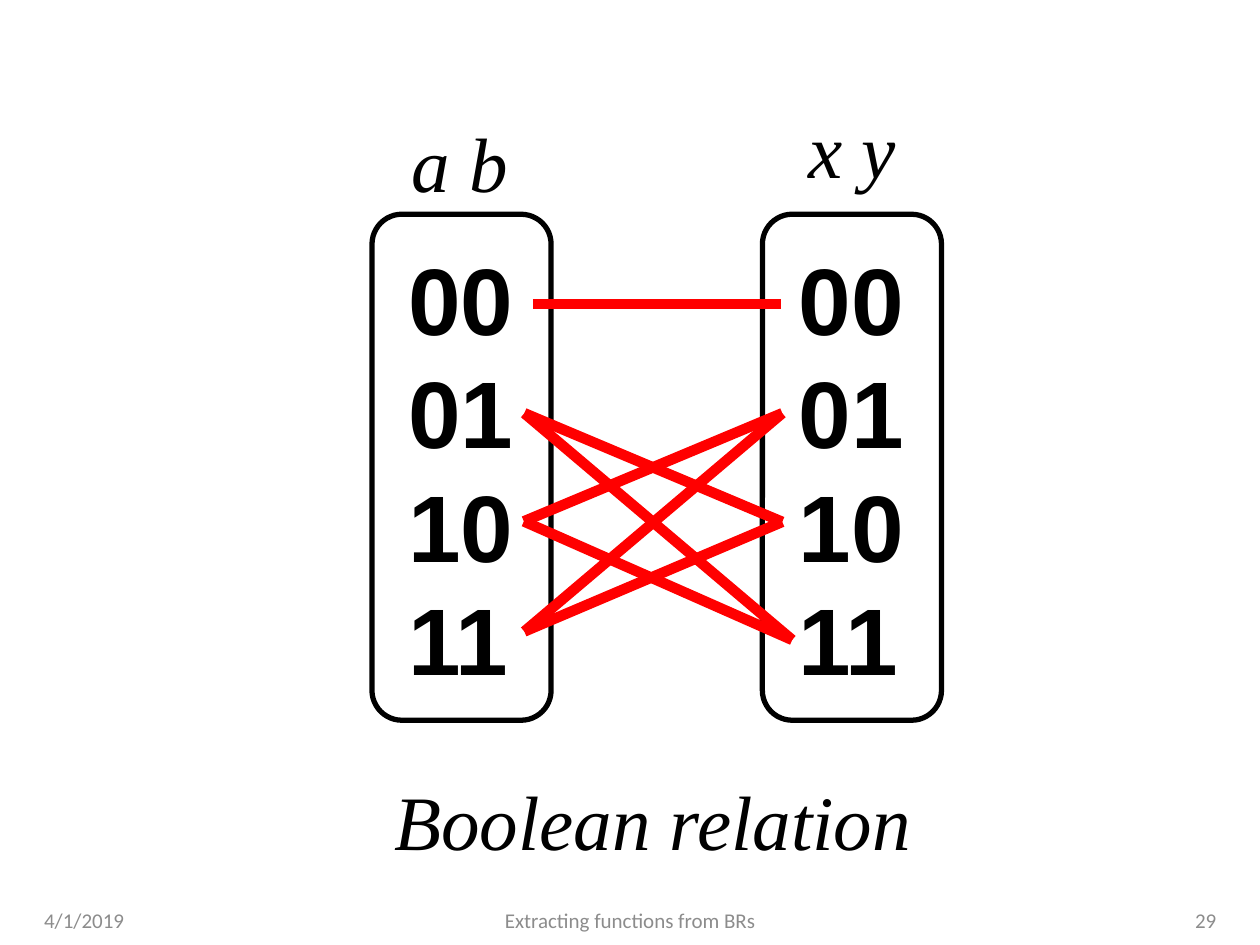
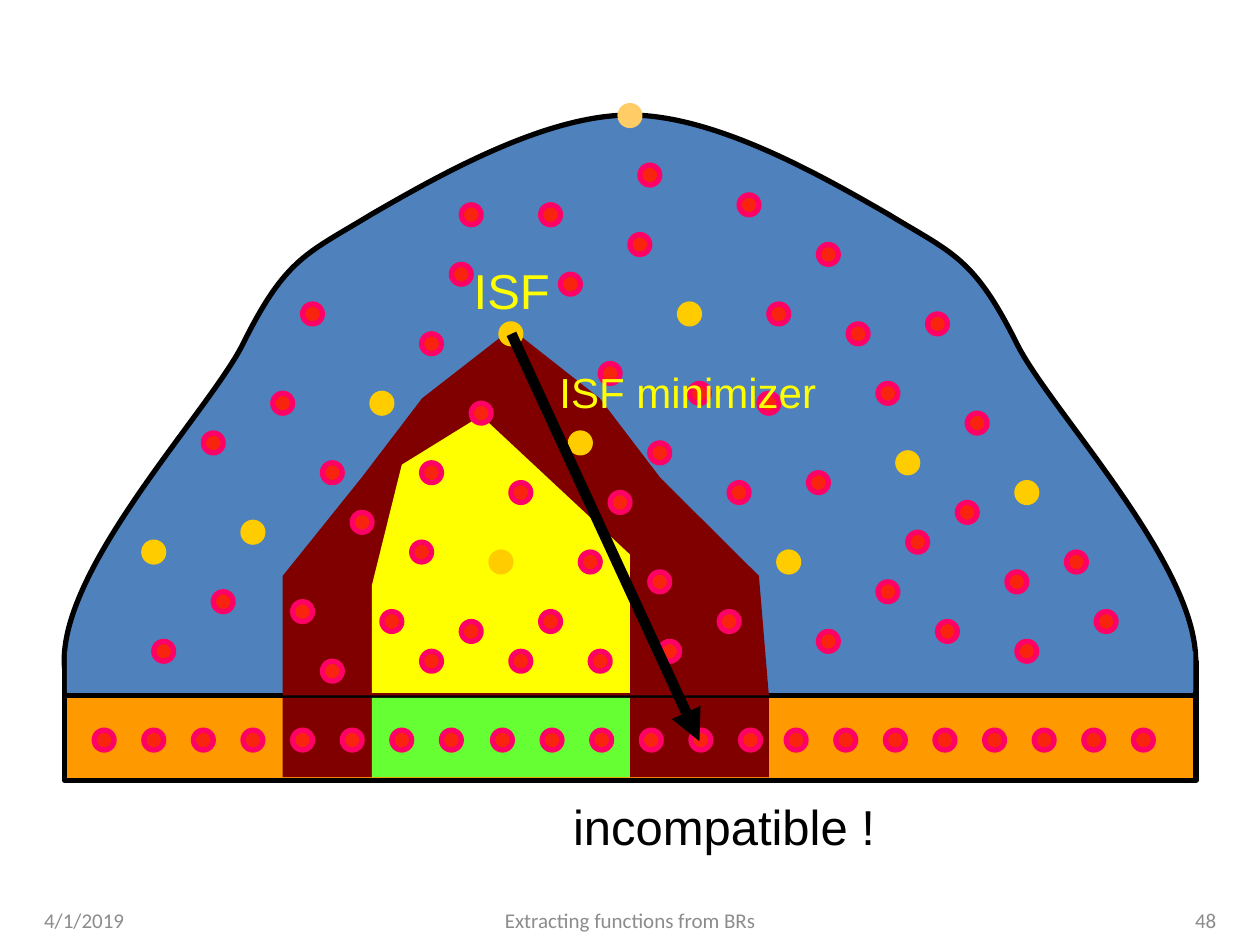
from lxml import etree
from pptx import Presentation
from pptx.dml.color import RGBColor
from pptx.enum import shapes, text
from pptx.oxml import ns
from pptx.util import Cm, Pt

BLACK, RED, GREY = "000000", "FF0000", "8C8C8C"
BLUE, ORANGE, MAROON = "4F81BD", "FF9900", "800000"
GREEN, YELLOW = "66FF33", "FFFF00"
GOLD, PEACH, DOT_FILL, DOT_EDGE = "FFCC00", "FFCC66", "F8240E", "FF0066"
RECT, ROUND, OVAL = (shapes.MSO_SHAPE.RECTANGLE, shapes.MSO_SHAPE.ROUNDED_RECTANGLE,
                     shapes.MSO_SHAPE.OVAL)
LEFT, CENTER, RIGHT = text.PP_ALIGN.LEFT, text.PP_ALIGN.CENTER, text.PP_ALIGN.RIGHT
rgb = RGBColor.from_string


def paint(s, fill=None, line=None):
    s.shadow.inherit = False
    if fill:
        s.fill.solid()
        s.fill.fore_color.rgb = rgb(fill)
    else:
        s.fill.background()
    if line:
        s.line.color.rgb = rgb(line)
        s.line.width = Pt(3)
    else:
        s.line.fill.background()


def add_text(slide, box, words, size, font, color, align=LEFT, wrap=False):
    tf = slide.shapes.add_textbox(*map(Cm, box)).text_frame
    tf.word_wrap = wrap
    tf.text = words
    for p in tf.paragraphs:
        p.alignment = align
        for r in p.runs:
            r.font.size = Pt(size)
            r.font.name = font
            r.font.color.rgb = rgb(color)
    return tf


prs = Presentation()
prs.slide_width, prs.slide_height = Cm(25.4), Cm(19.05)
relation, hill = [prs.slides.add_slide(prs.slide_layouts[6]) for _ in range(2)]

for x in (7.5, 15.37):
    tf = add_text(relation, (x + 0.48, 4.73, 2.64, 9.5), "00\n01\n10\n11", 54, "Arial", BLACK)
    for p in tf.paragraphs:
        p.line_spacing = Pt(64.8)
        p.runs[0].font.bold = True
    paint(relation.shapes.add_shape(ROUND, Cm(x), Cm(4.32), Cm(3.61), Cm(10.2)), line=BLACK)

for words, box in [("a b", (8.05, 2.21, 2.46, 2.11)),
                   ("x y", (16.05, 1.93, 2.29, 2.13)),
                   ("Boolean relation", (7.7, 15.46, 11, 2.11))]:
    tf = add_text(relation, box, words, 44, "Times New Roman", BLACK)
    tf.paragraphs[0].runs[0].font.italic = True

left_side = [(12.7, 2.32), (10.97, 2.32), (8.81, 3.56), (7.49, 4.32), (6.2, 5.11),
             (5.77, 5.18), (4.9, 6.93), (4.04, 8.66), (-0.74, 13.41), (2.29, 14.73)]
right_side = [(25.4 - x, y) for x, y in reversed(left_side)]
hill_curve = left_side + [(5.33, 16.03), (20.07, 16.03)] + right_side
maroon_peak = [(10.31, 6.63), (8.51, 8.03), (7.29, 9.63), (5.7, 11.61), (5.7, 14.02),
               (15.5, 14.02), (15.3, 11.61), (13.31, 9.63), (12.09, 8.03)]
yellow_peak = [(9.7, 8.38), (8.1, 9.37), (7.5, 11.79), (7.5, 13.97),
               (12.7, 13.97), (12.7, 11.18)]
regions = [
    (hill_curve, BLUE, BLACK),
    ((1.3, 13.34, 22.81, 2.38), BLUE, BLACK),
    ((1.35, 13.13, 22.71, 0.81), BLUE, None),
    ((1.3, 14.02, 22.81, 1.71), ORANGE, BLACK),
    (maroon_peak, MAROON, None),
    ((5.7, 14.07, 1.8, 1.6), MAROON, None),
    ((12.7, 14.07, 2.8, 1.6), MAROON, None),
    ((7.5, 14.07, 5.2, 1.6), GREEN, None),
    (yellow_peak, YELLOW, None),
]
for outline, fill, line in regions:
    if isinstance(outline, tuple):
        s = hill.shapes.add_shape(RECT, *map(Cm, outline))
    else:
        points = [(Cm(x), Cm(y)) for x, y in outline]
        builder = hill.shapes.build_freeform(*points[0])
        builder.add_line_segments(points[1:], close=outline is not hill_curve)
        s = builder.convert_to_shape()
    if outline is hill_curve:
        segments = list(s._element.iter(ns.qn("a:lnTo")))
        track = segments[0].getparent()
        for i in range(0, len(segments), 3):
            bend = etree.SubElement(track, ns.qn("a:cubicBezTo"))
            for segment in segments[i:i + 3]:
                bend.append(segment[0])
                track.remove(segment)
        etree.SubElement(track, ns.qn("a:close"))
    paint(s, fill, line)

bottom_row = [(start + i, 14.89) for start, count in [(2.1, 8), (10.13, 6), (16.05, 8)]
              for i in range(count)]
red_dots = bottom_row + [
    (9.5, 4.3), (19.1, 12.7), (20.7, 13.1), (22.3, 12.5), (20.5, 11.7), (18.5, 10.9),
    (15.1, 4.1), (13.1, 3.5), (11.1, 4.3), (19.7, 8.5), (18.9, 6.5), (19.5, 10.3),
    (21.7, 11.3), (3.3, 13.1), (12.9, 4.9), (11.5, 5.7), (13.3, 9.1), (15.7, 6.3),
    (12.3, 7.5), (4.3, 8.9), (6.1, 12.3), (13.5, 13.1), (4.5, 12.1), (15.5, 8.1),
    (14.9, 9.9), (17.9, 7.9), (16.5, 9.7), (16.7, 12.9), (17.9, 11.9), (14.7, 12.5),
    (6.7, 13.5), (17.3, 6.7), (16.7, 5.1), (14.1, 7.9), (11.1, 12.5), (11.9, 11.3),
    (12.5, 10.1), (9.5, 12.7), (7.9, 12.5), (13.3, 11.7), (12.1, 13.3), (10.5, 13.3),
    (8.7, 13.3), (6.3, 6.3), (8.7, 6.9), (9.7, 8.3), (6.7, 9.5), (5.7, 8.1), (9.3, 5.5),
    (10.5, 9.9), (8.5, 11.1), (7.3, 10.5), (8.7, 9.5),
]
gold_dots = [
    (18.3, 9.3), (20.7, 9.9), (3.1, 11.1), (13.9, 6.3), (11.7, 8.9), (15.9, 11.3),
    (5.1, 10.7), (7.7, 8.1), (10.3, 6.7), (10.1, 11.3),
]
for dots, fill, line in [(red_dots, DOT_FILL, DOT_EDGE), (gold_dots, GOLD, GOLD),
                         ([(12.7, 2.3)], PEACH, PEACH)]:
    for x, y in dots:
        s = hill.shapes.add_shape(OVAL, Cm(x - 0.2), Cm(y - 0.17), Cm(0.4), Cm(0.4))
        paint(s, fill, line)

add_text(hill, (9.3, 5.13, 2.06, 1.45), "ISF", 28, "Arial", YELLOW)
add_text(hill, (11.28, 15.93, 6.63, 1.45), "incompatible !", 28, "Arial", BLACK, CENTER)
add_text(hill, (11.02, 7.26, 5.69, 1.27), "ISF minimizer", 24, "Arial", YELLOW, CENTER)

inputs = {"00": (10.74, 6.13), "01": (10.57, 8.33), "10": (10.56, 10.51), "11": (10.57, 12.73)}
outputs = {"00": (15.75, 6.13), "01": (15.77, 8.33), "10": (15.77, 10.52), "11": (15.97, 12.9)}
pairs = [("00", "00"), ("01", "10"), ("01", "11"), ("10", "01"),
         ("10", "11"), ("11", "01"), ("11", "10")]
lines = [(relation, inputs[a], outputs[b], RED) for a, b in pairs]
lines.append((hill, (10.31, 6.73), (14.1, 14.94), BLACK))
for slide, start, end, color in lines:
    s = slide.shapes.add_connector(shapes.MSO_CONNECTOR.STRAIGHT, *map(Cm, start + end))
    s.line.color.rgb = rgb(color)
    s.line.width = Pt(6)
    if slide is hill:
        etree.SubElement(s.line._get_or_add_ln(), ns.qn("a:tailEnd"), type="triangle")
    etree.SubElement(s._element.spPr, ns.qn("a:effectLst"))

for slide, number in [(relation, "29"), (hill, "48")]:
    for x, width, words, align in [(0.64, 7.41, "4/1/2019", LEFT),
                                   (8.68, 8.05, "Extracting functions from BRs", CENTER),
                                   (18.85, 5.92, number, RIGHT)]:
        tf = add_text(slide, (x, 18.03, width, 1.02), words, 12, "Calibri", GREY, align, True)
        tf.vertical_anchor = text.MSO_ANCHOR.MIDDLE

prs.save("out.pptx")
